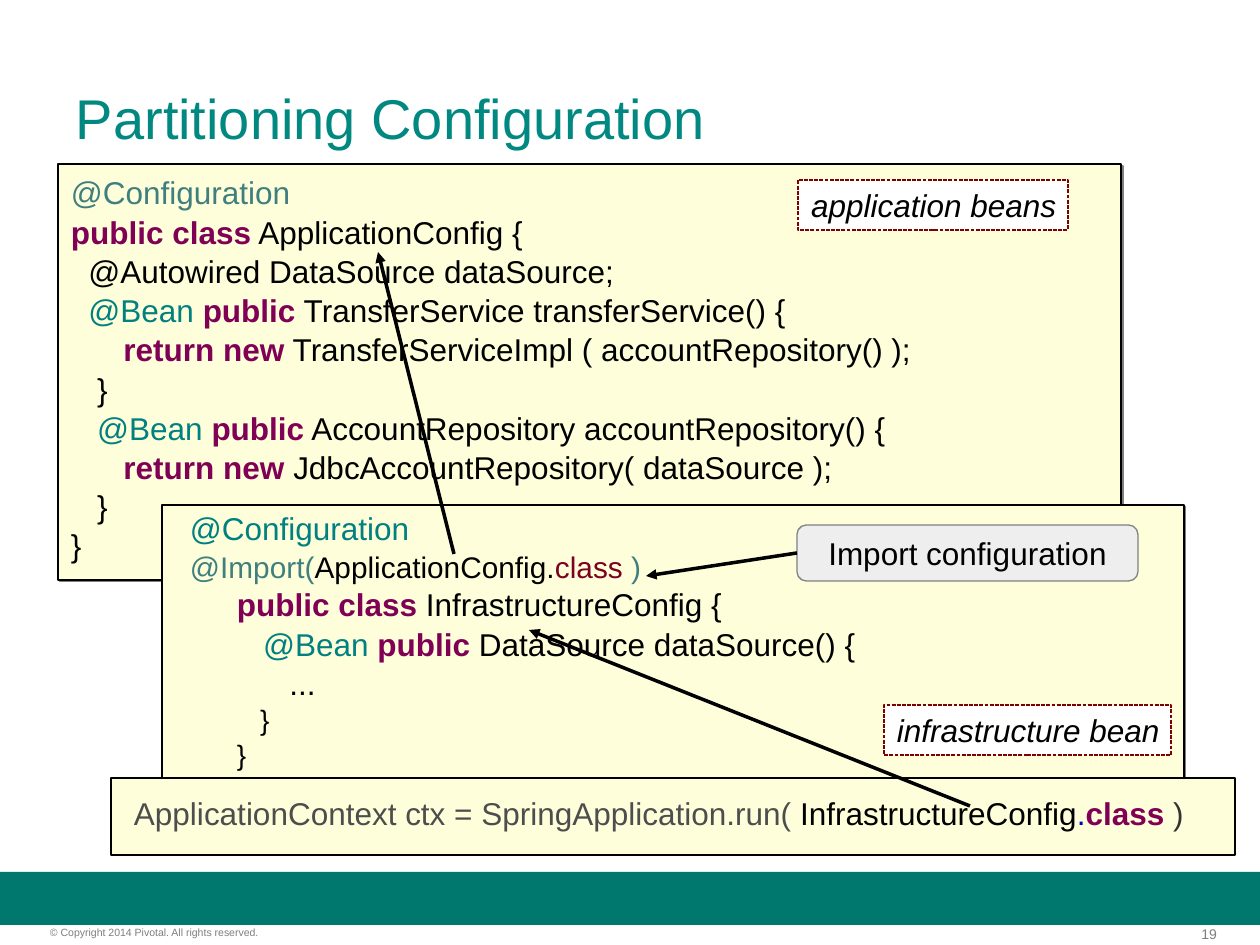
from dataclasses import dataclass
from typing import NamedTuple

from lxml.etree import SubElement
from pptx import Presentation
from pptx.dml.color import RGBColor
from pptx.enum.dml import MSO_LINE
from pptx.enum.shapes import MSO_CONNECTOR, MSO_SHAPE
from pptx.enum.text import MSO_ANCHOR, PP_ALIGN
from pptx.oxml.ns import qn
from pptx.util import Emu, Pt

EMU_PER_PX = 914400 / 126
FONT = "Arial"
BLACK, WHITE, GRAY = "000000", "FFFFFF", "7F7F7F"
CREAM, TEAL, MUTED_TEAL, PURPLE = "FEFFDA", "008080", "3F7F7F", "7F0055"


class Run(NamedTuple):
    text: str
    color: str = BLACK
    bold: bool = False


class Line(NamedTuple):
    runs: list[Run]
    size: int = 18
    indent: int = 0


class Area(NamedTuple):
    left: int
    top: int
    width: int
    height: int


@dataclass
class Panel:
    area: Area
    lines: list[Line]
    inset: int = 13
    shadow: bool = True


@dataclass
class Tag:
    area: Area
    text: str


def px(length: float) -> Emu:
    return Emu(round(length * EMU_PER_PX))


def rgb(color: str) -> RGBColor:
    return RGBColor.from_string(color)


def keyword(text: str) -> Run:
    return Run(text, PURPLE, True)


def plain(text: str, size: int = 18, color: str = BLACK, indent: int = 0) -> Line:
    return Line([Run(text, color)], size, indent)


def write(shape, lines: list[Line], *, anchor=MSO_ANCHOR.MIDDLE, align=PP_ALIGN.LEFT,
          insets=(13, 6, 13, 6), wrap=True, italic=False, spacing=1.0, gap=0.0) -> None:
    frame = shape.text_frame
    frame.word_wrap = wrap
    frame.vertical_anchor = anchor
    frame.margin_left, frame.margin_top, frame.margin_right, frame.margin_bottom = map(px, insets)
    for number, line in enumerate(lines):
        paragraph = frame.add_paragraph() if number else frame.paragraphs[0]
        paragraph.alignment = align
        paragraph.line_spacing = spacing
        paragraph.space_before = Pt(line.size * gap if number else 0)
        if line.indent:
            paragraph._p.get_or_add_pPr().set("marL", str(px(line.indent)))
        for part in line.runs:
            run = paragraph.add_run()
            run.text = part.text
            run.font.name = FONT
            run.font.size = Pt(line.size)
            run.font.bold = part.bold
            run.font.italic = italic
            run.font.color.rgb = rgb(part.color)


def add_box(slide, area: Area, fill: str, outline: str | None = None,
            weight: float = 0, kind=MSO_SHAPE.RECTANGLE):
    box = slide.shapes.add_shape(kind, *map(px, area))
    box.shadow.inherit = False
    box.fill.solid()
    box.fill.fore_color.rgb = rgb(fill)
    if outline:
        box.line.color.rgb = rgb(outline)
        box.line.width = Pt(weight)
    else:
        box.line.fill.background()
    return box


def add_text(slide, area: Area, line: Line, **text_format) -> None:
    write(slide.shapes.add_textbox(*map(px, area)), [line], **text_format)


def add_panel(slide, panel: Panel) -> None:
    box = add_box(slide, panel.area, CREAM, BLACK, 1)
    if panel.shadow:
        effects = box._element.spPr.find(qn("a:effectLst"))
        shadow = SubElement(effects, qn("a:outerShdw"), dist=str(Pt(1.4)), dir="2700000",
                            algn="ctr", rotWithShape="0")
        SubElement(shadow, qn("a:srgbClr"), val="808080")
    write(box, panel.lines, insets=(panel.inset, 6, 13, 6), spacing=0.83, gap=0.25)


def add_tag(slide, tag: Tag) -> None:
    box = add_box(slide, tag.area, WHITE, "800000")
    box.line.dash_style = MSO_LINE.SQUARE_DOT
    write(box, [plain(tag.text)], anchor=MSO_ANCHOR.TOP, wrap=False, italic=True)


def add_arrow(slide, start: tuple[int, int], end: tuple[int, int]):
    arrow = slide.shapes.add_connector(MSO_CONNECTOR.STRAIGHT, *map(px, start + end))
    arrow.line.color.rgb = rgb(BLACK)
    arrow.line.width = Pt(0)
    SubElement(arrow.line._get_or_add_ln(), qn("a:tailEnd"), type="triangle")
    SubElement(arrow._element.spPr, qn("a:effectLst"))
    return arrow


APPLICATION = Panel(Area(58, 164, 1063, 416), [
    plain("@Configuration", color=MUTED_TEAL),
    Line([keyword("public class"), Run(" ApplicationConfig {")]),
    plain("  @Autowired DataSource dataSource;"),
    Line([Run("  @Bean ", TEAL), keyword("public"), Run(" TransferService transferService() {")]),
    Line([keyword("      return new"), Run(" TransferServiceImpl ( accountRepository() );")]),
    plain("   }"),
    Line([Run("   @Bean ", TEAL), keyword("public"),
          Run(" AccountRepository accountRepository() {")]),
    Line([keyword("      return new"), Run(" JdbcAccountRepository( dataSource );")]),
    plain("   }"),
    plain("}"),
])
INFRASTRUCTURE = Panel(Area(162, 505, 1022, 277), [
    plain("@Configuration", color=TEAL),
    Line([Run("@Import(", MUTED_TEAL), Run("ApplicationConfig."), Run("class", "7E0021"),
          Run(" )", MUTED_TEAL)], 17),
    Line([keyword("public class"), Run(" InfrastructureConfig {")], indent=47),
    Line([Run("   @Bean ", TEAL), keyword("public"), Run(" DataSource dataSource() {")],
         indent=47),
    plain("      ...", indent=47),
    plain("   }", 16, indent=47),
    plain("}", 16, indent=47),
], inset=28)
LAUNCH = Panel(Area(111, 778, 1124, 77), [
    Line([Run("ApplicationContext ctx = SpringApplication.run( ", "4D4D4D"),
          Run("InfrastructureConfig"), Run(".", "0000C0"), keyword("class "),
          Run(")", "333333")]),
], inset=23, shadow=False)
TAGS = [
    Tag(Area(798, 180, 270, 50), "application beans"),
    Tag(Area(884, 705, 287, 50), "infrastructure bean"),
]


def main() -> None:
    presentation = Presentation()
    presentation.slide_width, presentation.slide_height = px(1260), px(945)
    slide = presentation.slides.add_slide(presentation.slide_layouts[6])

    add_box(slide, Area(0, 872, 1260, 53), "00786E")
    footer = {"insets": (0, 0, 0, 0), "anchor": MSO_ANCHOR.TOP}
    add_text(slide, Area(1172, 926, 73, 16), plain("19", 8, GRAY),
             **{**footer, "align": PP_ALIGN.RIGHT, "insets": (0, 0, 28, 0)})
    add_text(slide, Area(50, 926, 314, 13),
             plain("© Copyright 2014 Pivotal. All rights reserved.", 6, GRAY), **footer)
    add_text(slide, Area(63, 38, 1134, 158), plain("Partitioning Configuration", 32, "008881"))

    add_panel(slide, APPLICATION)
    add_panel(slide, INFRASTRUCTURE)
    for tag in TAGS:
        add_tag(slide, tag)

    callout = add_box(slide, Area(797, 525, 341, 56), "EEEEEE", "808080",
                      kind=MSO_SHAPE.ROUNDED_RECTANGLE)
    write(callout, [plain("Import configuration")], align=PP_ALIGN.CENTER)
    import_arrow = add_arrow(slide, (797, 553), (646, 576))
    import_arrow.begin_connect(callout, 1)

    add_panel(slide, LAUNCH)
    add_arrow(slide, (970, 806), (529, 630))
    add_arrow(slide, (454, 554), (378, 252))

    presentation.save("out.pptx")


if __name__ == "__main__":
    main()
